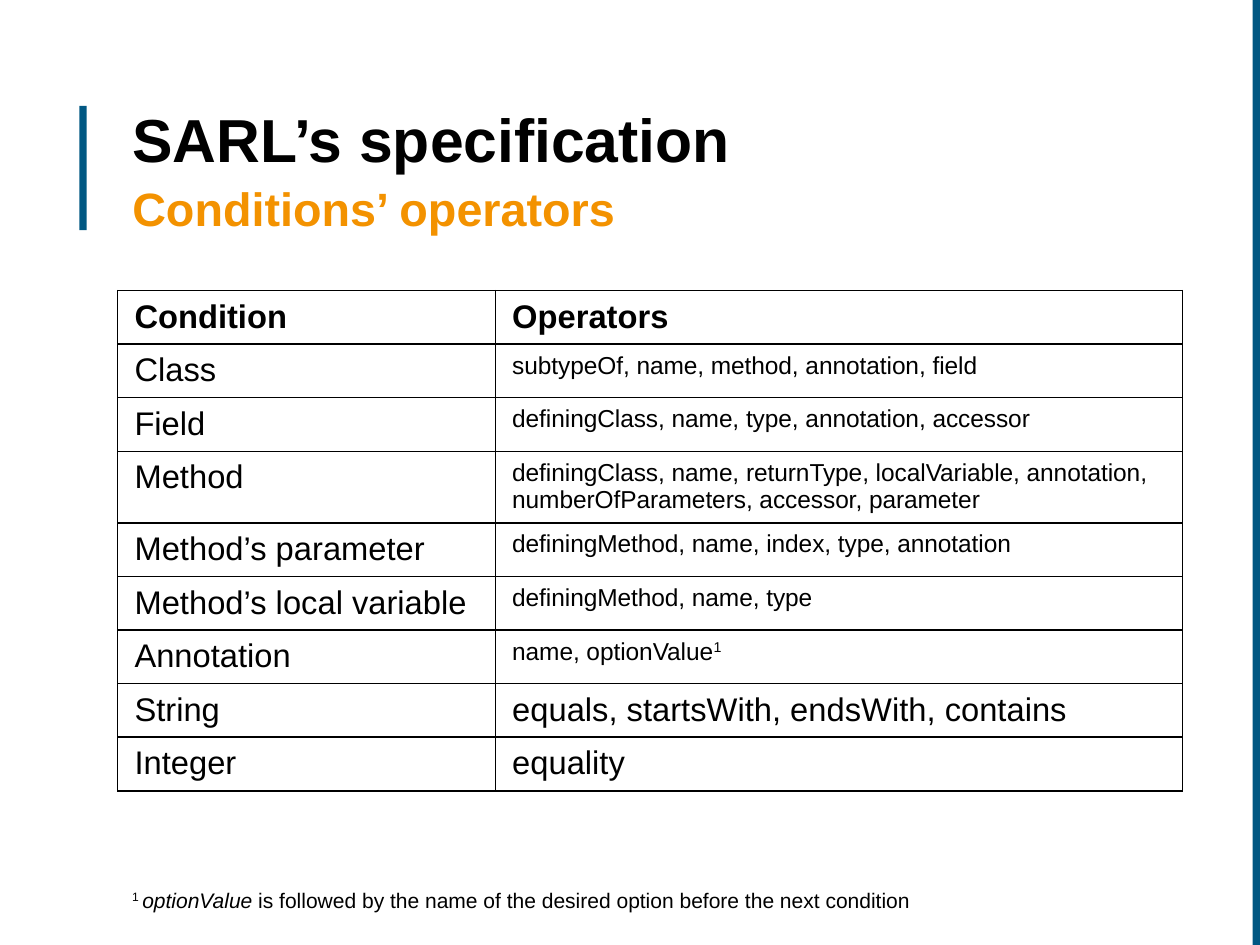
from lxml import etree
from pptx import Presentation
from pptx.dml.color import RGBColor
from pptx.enum.shapes import MSO_SHAPE
from pptx.enum.text import MSO_ANCHOR, MSO_AUTO_SIZE, PP_ALIGN
from pptx.oxml.ns import qn
from pptx.util import Cm, Pt

RECT = MSO_SHAPE.RECTANGLE
TOP = MSO_ANCHOR.TOP
LEFT = PP_ALIGN.LEFT
NO_FIT = MSO_AUTO_SIZE.NONE

BLUE = RGBColor(0x01, 0x58, 0x83)
ORANGE = RGBColor(0xF3, 0x92, 0x00)
BLACK = RGBColor(0, 0, 0)
FONT = "Arial"

BIG, SMALL = 14, 10.5
ROWS = [
    ("Condition", "Operators", BIG),
    ("Class", "subtypeOf, name, method, annotation, field", SMALL),
    ("Field", "definingClass, name, type, annotation, accessor", SMALL),
    ("Method", "definingClass, name, returnType, localVariable, annotation, "
     "numberOfParameters, accessor, parameter", SMALL),
    ("Method’s parameter", "definingMethod, name, index, type, annotation", SMALL),
    ("Method’s local variable", "definingMethod, name, type", SMALL),
    ("Annotation", "name, optionValue", SMALL),
    ("String", "equals, startsWith, endsWith, contains", BIG),
    ("Integer", "equality", BIG),
]
NOTED = "Annotation"
TALL = "Method"


def add_run(para, text, size, color=BLACK, bold=False, italic=False, raised=False):
    run = para.add_run()
    run.text = text
    font = run.font
    font.name, font.size = FONT, Pt(size)
    font.bold, font.italic = bold, italic
    font.color.rgb = color
    if raised:
        run._r.get_or_add_rPr().set("baseline", "30000")


def add_bar(slide, left, top, width, height):
    bar = slide.shapes.add_shape(RECT, Cm(left), Cm(top), Cm(width), Cm(height))
    bar.shadow.inherit = False
    bar.fill.solid()
    bar.fill.fore_color.rgb = BLUE
    bar.line.fill.background()


def set_title(slide):
    title = slide.shapes.title
    title.left, title.top = Cm(1.75), Cm(1.19)
    title.width, title.height = Cm(16.1), Cm(2.39)
    frame = title.text_frame
    frame.auto_size = NO_FIT
    frame.word_wrap = True
    frame.vertical_anchor = TOP
    frame.margin_left = frame.margin_right = Cm(0.25)
    frame.margin_top = frame.margin_bottom = Cm(0.25)
    para = frame.paragraphs[0]
    para.alignment = LEFT
    para.line_spacing = 1.09
    add_run(para, "SARL’s specification", 26, bold=True)
    para.add_line_break()
    add_run(para, "Conditions’ operators", 20, ORANGE, bold=True)


def add_borders(cell):
    props = cell._tc.get_or_add_tcPr()
    for side in ("a:lnL", "a:lnR", "a:lnT", "a:lnB"):
        line = etree.SubElement(props, qn(side), w=str(Pt(0.75)))
        fill = etree.SubElement(line, qn("a:solidFill"))
        etree.SubElement(fill, qn("a:srgbClr"), val=str(BLACK))


def fill_cell(cell, text, size, bold):
    add_borders(cell)
    cell.fill.background()
    cell.vertical_anchor = TOP
    cell.margin_top = cell.margin_bottom = Cm(0.12)
    para = cell.text_frame.paragraphs[0]
    add_run(para, text, size, bold=bold)
    return para


def add_grid(slide):
    frame = slide.shapes.add_table(
        len(ROWS), 2, Cm(1.78), Cm(4.39), Cm(16.1), Cm(7.56))
    grid = frame.table
    grid.first_row = grid.horz_banding = False
    grid.columns[0].width, grid.columns[1].width = Cm(5.71), Cm(10.39)
    for i, (name, ops, size) in enumerate(ROWS):
        grid.rows[i].height = Cm(1.08 if name == TALL else 0.81)
        fill_cell(grid.cell(i, 0), name, BIG, i == 0)
        para = fill_cell(grid.cell(i, 1), ops, size, i == 0)
        if name == NOTED:
            add_run(para, "1", size, raised=True)


def add_note(slide):
    box = slide.shapes.add_textbox(Cm(1.75), Cm(13.28), Cm(16.1), Cm(0.64))
    frame = box.text_frame
    frame.word_wrap = True
    para = frame.paragraphs[0]
    add_run(para, "1 ", 9, raised=True)
    add_run(para, "optionValue", 9, italic=True)
    add_run(para, " is followed by the name of the desired option"
            " before the next condition", 9)


def main():
    deck = Presentation()
    deck.slide_width, deck.slide_height = Cm(19.05), Cm(14.28)
    slide = deck.slides.add_slide(deck.slide_layouts[5])
    add_bar(slide, 1.2, 1.6, 0.11, 1.88)
    add_bar(slide, 18.94, 0, 0.11, 14.28)
    set_title(slide)
    add_grid(slide)
    add_note(slide)
    deck.save("out.pptx")


if __name__ == "__main__":
    main()
